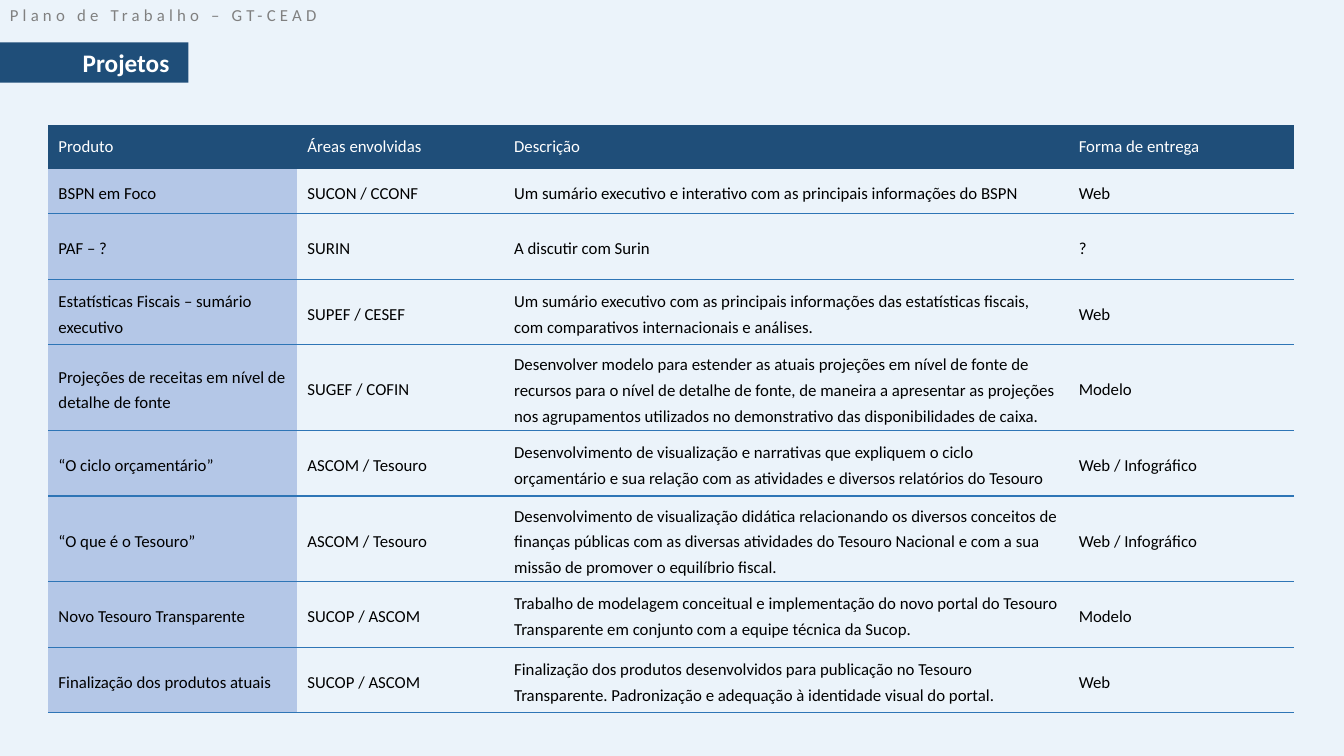
from dataclasses import dataclass

from lxml.etree import SubElement
from pptx import Presentation
from pptx.dml.color import RGBColor as Color
from pptx.enum.shapes import MSO_SHAPE as Preset
from pptx.enum.text import MSO_ANCHOR as Anchor, MSO_AUTO_SIZE as AutoSize, PP_ALIGN as Align
from pptx.oxml.ns import qn
from pptx.util import Inches, Pt


@dataclass(frozen=True)
class Theme:
    """Colours, font and type sizes of the slide."""
    background: str = "EBF3FA"
    navy: str = "1F4E79"
    rule: str = "2E75B6"
    product: str = "B4C7E7"
    muted: str = "808080"
    white: str = "FFFFFF"
    black: str = "000000"
    font: str = "Calibri"
    body_size: int = 12
    title_size: int = 18


THEME = Theme()
PLAIN_TABLE = "{2D5ABB26-0587-4C30-8999-92F81FD0307C}"
COLUMN_WIDTHS = [2.47, 2.05, 5.6, 2.23]
ROW_HEIGHTS = [0.44, 0.44, 0.65, 0.65, 0.85, 0.65, 0.85, 0.65, 0.65]
HEADER = ["Produto", "Áreas envolvidas", "Descrição", "Forma de entrega"]
PROJECTS = [
    ["BSPN em Foco", "SUCON / CCONF",
     "Um sumário executivo e interativo com as principais informações do BSPN", "Web"],
    ["PAF – ?", "SURIN", "A discutir com Surin", "?"],
    ["Estatísticas Fiscais – sumário executivo", "SUPEF / CESEF",
     "Um sumário executivo com as principais informações das estatísticas fiscais, "
     "com comparativos internacionais e análises.", "Web"],
    ["Projeções de receitas em nível de detalhe de fonte", "SUGEF / COFIN",
     "Desenvolver modelo para estender as atuais projeções em nível de fonte de recursos "
     "para o nível de detalhe de fonte, de maneira a apresentar as projeções nos "
     "agrupamentos utilizados no demonstrativo das disponibilidades de caixa.", "Modelo"],
    ["“O ciclo orçamentário”", "ASCOM / Tesouro",
     "Desenvolvimento de visualização e narrativas que expliquem o ciclo orçamentário "
     "e sua relação com as atividades e diversos relatórios do Tesouro", "Web / Infográfico"],
    ["“O que é o Tesouro”", "ASCOM / Tesouro",
     "Desenvolvimento de visualização didática relacionando os diversos conceitos de "
     "finanças públicas com as diversas atividades do Tesouro Nacional e com a sua "
     "missão de promover o equilíbrio fiscal.", "Web / Infográfico"],
    ["Novo Tesouro Transparente", "SUCOP / ASCOM",
     "Trabalho de modelagem conceitual e implementação do novo portal do Tesouro "
     "Transparente em conjunto com a equipe técnica da Sucop.", "Modelo"],
    ["Finalização dos produtos atuais", "SUCOP / ASCOM",
     "Finalização dos produtos desenvolvidos para publicação no Tesouro Transparente. "
     "Padronização e adequação à identidade visual do portal.", "Web"],
]


def paint(fill, color):
    """Give a fill one solid colour."""
    fill.solid()
    fill.fore_color.rgb = Color.from_string(color)


def add_span(para, text, color, size=THEME.body_size, bold=False):
    """Add one formatted run to a paragraph."""
    span = para.add_run()
    span.text = text
    span.font.name = THEME.font
    span.font.size = Pt(size)
    span.font.bold = bold
    span.font.color.rgb = Color.from_string(color)
    return span


def fit_to_text(frame):
    """Let a text frame grow around unwrapped text."""
    frame.word_wrap = False
    frame.auto_size = AutoSize.SHAPE_TO_FIT_TEXT


def add_running_head(page):
    """Add the letter-spaced line in the top left corner."""
    box = page.shapes.add_textbox(0, 0, Inches(3.33), Inches(0.3))
    fit_to_text(box.text_frame)
    span = add_span(box.text_frame.paragraphs[0], "Plano de Trabalho – GT-CEAD", THEME.muted)
    span.font._element.set("spc", "300")


def add_banner(page):
    """Add the dark band behind the title."""
    band = page.shapes.add_shape(Preset.RECTANGLE, 0, Inches(0.42), Inches(1.87), Inches(0.4))
    band.shadow.inherit = False
    paint(band.fill, THEME.navy)
    band.line.fill.background()


def place_title(page):
    """Move the title placeholder onto the band and in front of it."""
    title = page.shapes.title
    title.left, title.top = Inches(0.72), Inches(0.42)
    title.width, title.height = Inches(1.07), Inches(0.4)
    frame = title.text_frame
    fit_to_text(frame)
    frame.vertical_anchor = Anchor.TOP
    para = frame.paragraphs[0]
    para.alignment = Align.LEFT
    add_span(para, "Projetos", THEME.white, THEME.title_size, True)
    title.element.getparent().append(title.element)


def add_rule(cell, side):
    """Draw a one-point line on one side of a cell."""
    line = SubElement(cell._tc.get_or_add_tcPr(), qn(f"a:{side}"), w=str(Pt(1)))
    solid = SubElement(line, qn("a:solidFill"))
    SubElement(solid, qn("a:srgbClr"), val=THEME.rule)


def fill_cell(cell, text, row, column):
    """Write and format one cell according to its row and column."""
    cell.vertical_anchor = Anchor.MIDDLE
    para = cell.text_frame.paragraphs[0]
    if row == 0:
        add_span(para, text, THEME.white)
        paint(cell.fill, THEME.navy)
        return
    para.line_spacing = 1.25
    para.space_before = para.space_after = Pt(6)
    add_span(para, text, THEME.black)
    for side in ["lnB"] if row == 1 else ["lnT", "lnB"]:
        add_rule(cell, side)
    if column == 0:
        paint(cell.fill, THEME.product)
    else:
        cell.fill.background()


def add_project_table(page):
    """Add the table of projects."""
    rows = [HEADER, *PROJECTS]
    frame = page.shapes.add_table(len(rows), len(HEADER), Inches(0.48), Inches(1.24),
                                  Inches(sum(COLUMN_WIDTHS)), Inches(sum(ROW_HEIGHTS)))
    table = frame.table
    table.horz_banding = False
    table._tbl.tblPr.find(qn("a:tableStyleId")).text = PLAIN_TABLE
    for column, width in zip(table.columns, COLUMN_WIDTHS):
        column.width = Inches(width)
    for row, height in zip(table.rows, ROW_HEIGHTS):
        row.height = Inches(height)
    for row, texts in enumerate(rows):
        for column, text in enumerate(texts):
            fill_cell(table.cell(row, column), text, row, column)


def main():
    """Build and save the slide."""
    deck = Presentation()
    deck.slide_width, deck.slide_height = Inches(13.33), Inches(7.5)
    page = deck.slides.add_slide(deck.slide_layouts.get_by_name("Title Only"))
    paint(page.background.fill, THEME.background)
    add_banner(page)
    add_running_head(page)
    add_project_table(page)
    place_title(page)
    deck.save("out.pptx")


main()
